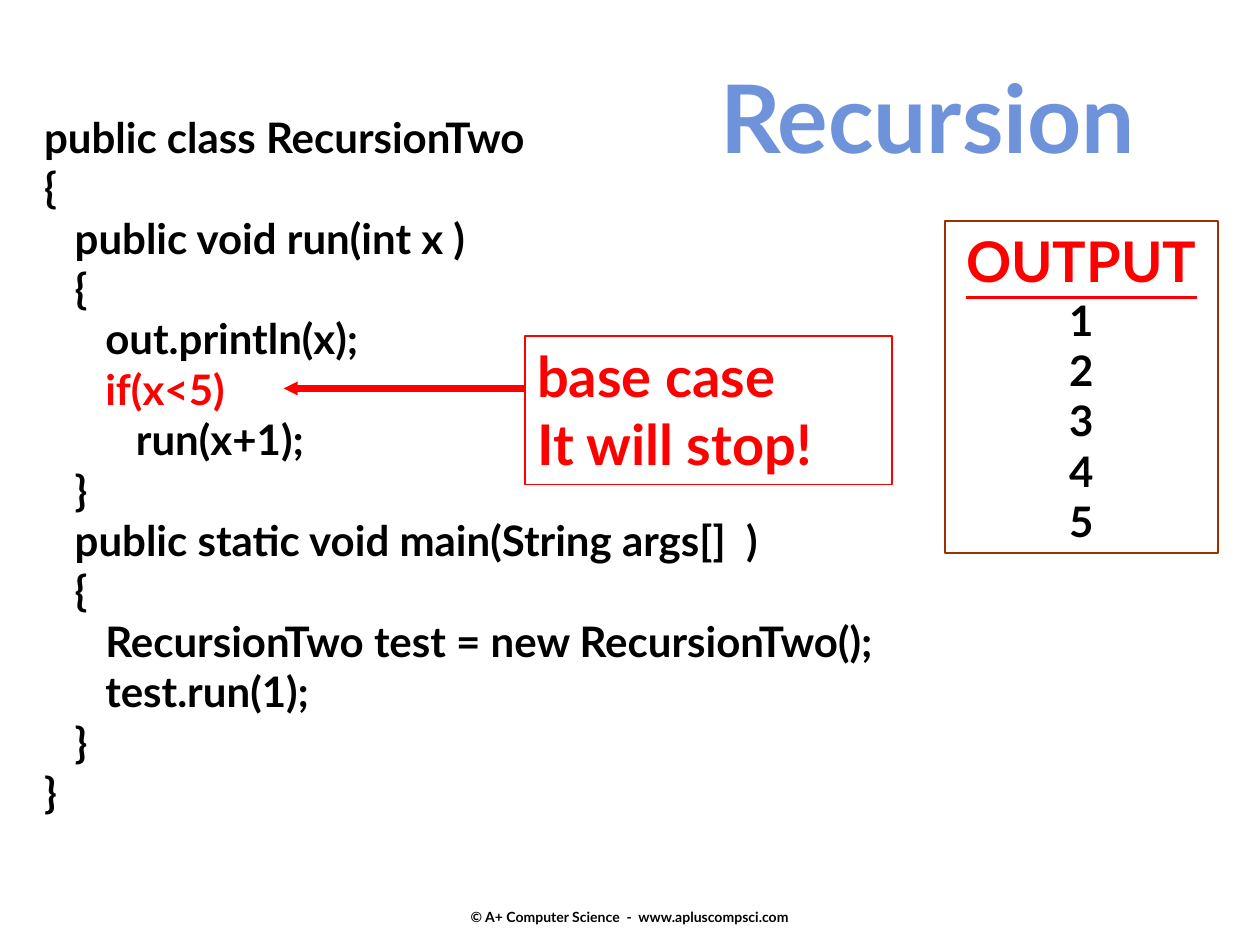
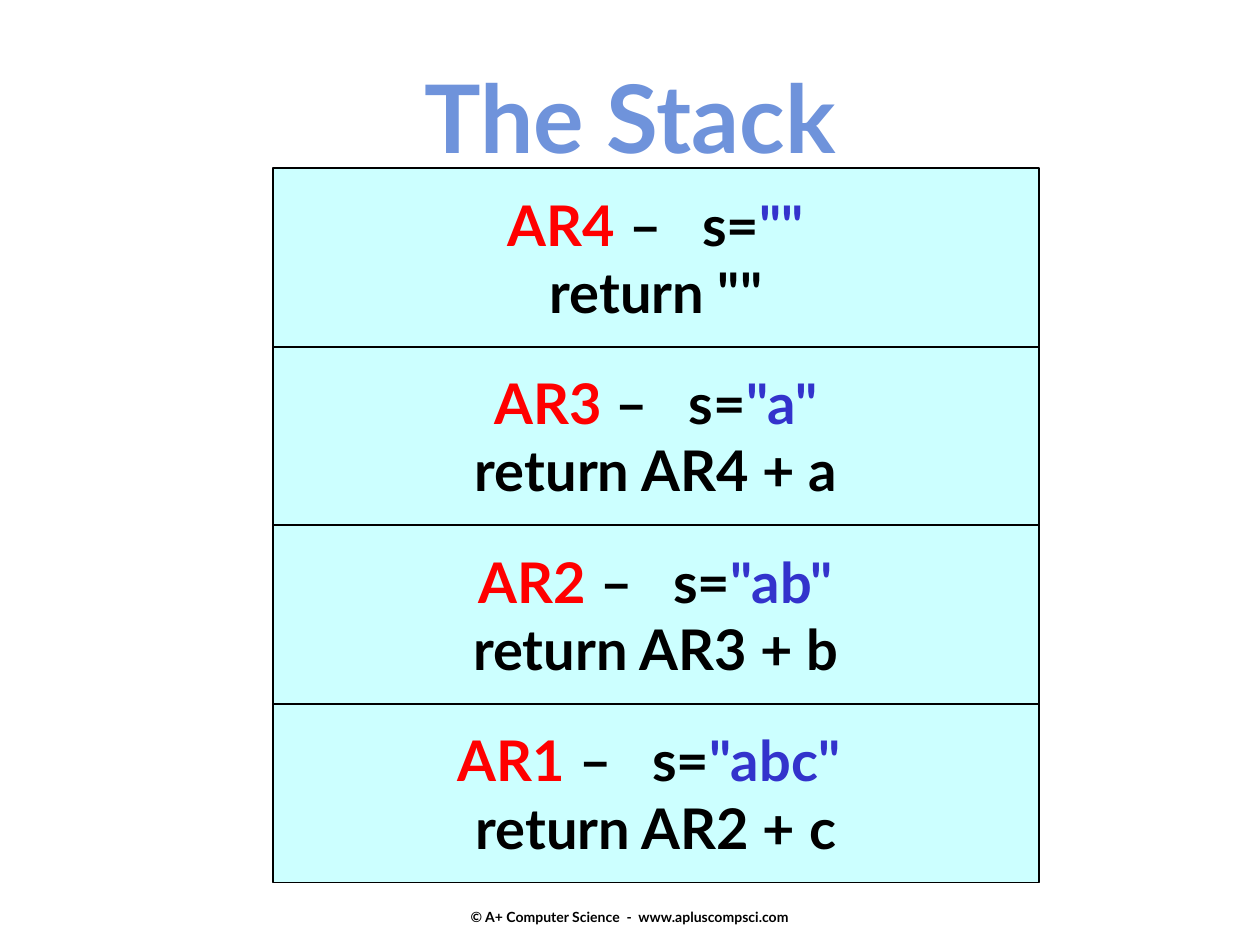
import pptx
import pptx.dml.color
import pptx.enum.shapes
import pptx.enum.text
import pptx.oxml
import pptx.oxml.ns
import pptx.util

Cm = pptx.util.Cm
Pt = pptx.util.Pt
RGBColor = pptx.dml.color.RGBColor
ALIGN = pptx.enum.text.PP_ALIGN
ANCHOR = pptx.enum.text.MSO_ANCHOR

FONT = "Lato"
BLACK = RGBColor(0x00, 0x00, 0x00)
RED = RGBColor(0xFF, 0x00, 0x00)
BROWN = RGBColor(0x99, 0x33, 0x00)
TITLE_BLUE = RGBColor(0x6F, 0x93, 0xDB)
STRING_BLUE = RGBColor(0x33, 0x33, 0xCC)
PALE_CYAN = RGBColor(0xCC, 0xFF, 0xFF)

SLIDE_WIDTH, SLIDE_HEIGHT = Cm(25.4), Cm(19.05)
FOOTER = "© A+ Computer Science  -  www.apluscompsci.com"

CODE = """public class RecursionTwo
{
   public void run(int x )
   {
      out.println(x);
      if(x<5)
         run(x+1);
   }
   public static void main(String args[]  )
   {
      RecursionTwo test = new RecursionTwo();
      test.run(1);
   }
}"""
BASE_CASE = "      if(x<5)"

# Top of the stack first: record name, value of s, returned expression
STACK = [
    ("AR4", '""', '""'),
    ("AR3", '"a"', "AR4 + a"),
    ("AR2", '"ab"', "AR3 + b"),
    ("AR1", '"abc" ', "AR2 + c"),
]


class Deck:
    def __init__(self):
        self.presentation = pptx.Presentation()
        self.presentation.slide_width = SLIDE_WIDTH
        self.presentation.slide_height = SLIDE_HEIGHT
        self.slide = None

    def set_text(self, shape, lines, align=ALIGN.LEFT, anchor=ANCHOR.TOP, wrap=True):
        """Fill a shape; each line is a list of (text, size, color[, underline])."""
        frame = shape.text_frame
        settings = {
            "word_wrap": wrap,
            "auto_size": pptx.enum.text.MSO_AUTO_SIZE.NONE,
            "vertical_anchor": anchor,
        }
        for name, value in settings.items():
            setattr(frame, name, value)
        for index, line in enumerate(lines):
            paragraph = frame.add_paragraph() if index else frame.paragraphs[0]
            paragraph.alignment = align
            for text, size, color, *underline in line:
                run = paragraph.add_run()
                run.text = text
                run.font.color.rgb = color
                font_format = {"name": FONT, "size": Pt(size), "bold": True,
                               "underline": bool(underline and underline[0])}
                for name, value in font_format.items():
                    setattr(run.font, name, value)

    def add_slide(self, title, title_left=Cm(0)):
        layout = self.presentation.slide_layouts[5]
        self.slide = self.presentation.slides.add_slide(layout)
        placeholder = self.slide.shapes.title
        position = {"left": title_left, "top": Cm(1.06),
                    "width": SLIDE_WIDTH - title_left, "height": Cm(2.56)}
        for name, value in position.items():
            setattr(placeholder, name, value)
        self.set_text(placeholder, [[(title, 54, TITLE_BLUE)]], ALIGN.CENTER)
        self.add_text(Cm(8.67), Cm(18.16), Cm(8.06), Cm(0.64),
                      [[(FOOTER, 8, BLACK)]], align=ALIGN.CENTER,
                      anchor=ANCHOR.MIDDLE, wrap=False)

    def add_text(self, left, top, width, height, lines, **layout):
        box = self.slide.shapes.add_textbox(left, top, width, height)
        self.set_text(box, lines, **layout)

    def add_box(self, left, top, width, height, lines, border, fill=None, **layout):
        box = self.slide.shapes.add_shape(
            pptx.enum.shapes.MSO_SHAPE.RECTANGLE, left, top, width, height)
        box.shadow.inherit = False
        if fill is None:
            box.fill.background()
        else:
            box.fill.solid()
            box.fill.fore_color.rgb = fill
        box.line.color.rgb = border
        box.line.width = Pt(1)
        self.set_text(box, lines, **layout)

    def add_arrow(self, start, end, color, width):
        arrow = self.slide.shapes.add_connector(
            pptx.enum.shapes.MSO_CONNECTOR.STRAIGHT, *start, *end)
        arrow.line.color.rgb = color
        arrow.line.width = Pt(width)
        namespace = pptx.oxml.ns.nsdecls("a")
        properties = arrow._element.spPr
        properties.find(pptx.oxml.ns.qn("a:ln")).append(pptx.oxml.parse_xml(
            f'<a:tailEnd {namespace} type="triangle" w="sm" len="sm"/>'))
        properties.append(pptx.oxml.parse_xml(f"<a:effectLst {namespace}/>"))


def build_recursion_slide(deck):
    deck.add_slide("Recursion", title_left=Cm(12))
    code_lines = [[(line, 24, RED if line == BASE_CASE else BLACK)]
                  for line in CODE.split("\n")]
    deck.add_text(Cm(0.64), Cm(2.12), Cm(20.24), Cm(14.46), code_lines)

    callout_left, arrow_y = Cm(10.58), Cm(7.83)
    deck.add_arrow((callout_left, arrow_y), (Cm(5.72), arrow_y), RED, 4)
    callout_lines = [[(line, 32, RED)] for line in ("base case", "It will stop!")]
    deck.add_box(callout_left, Cm(6.77), Cm(7.41), Cm(3), callout_lines, RED)

    output_lines = [[("OUTPUT", 32, RED, True)]]
    output_lines += [[(str(x), 24, BLACK)] for x in range(1, 6)]
    deck.add_box(Cm(19.05), Cm(4.45), Cm(5.5), Cm(6.7), output_lines, BROWN,
                 align=ALIGN.CENTER)


def build_stack_slide(deck):
    deck.add_slide("The Stack")
    top, record_height = Cm(3.39), Cm(3.6)
    for row, (record, argument, result) in enumerate(STACK):
        lines = [
            [(record, 32, RED), (" –   s=", 32, BLACK), (argument, 32, STRING_BLUE)],
            [(f"return {result}", 32, BLACK)],
        ]
        deck.add_box(Cm(5.5), top + row * record_height, Cm(15.45), record_height,
                     lines, BLACK, PALE_CYAN, align=ALIGN.CENTER,
                     anchor=ANCHOR.MIDDLE, wrap=False)


def main():
    deck = Deck()
    build_recursion_slide(deck)
    build_stack_slide(deck)
    deck.presentation.save("out.pptx")


if __name__ == "__main__":
    main()
